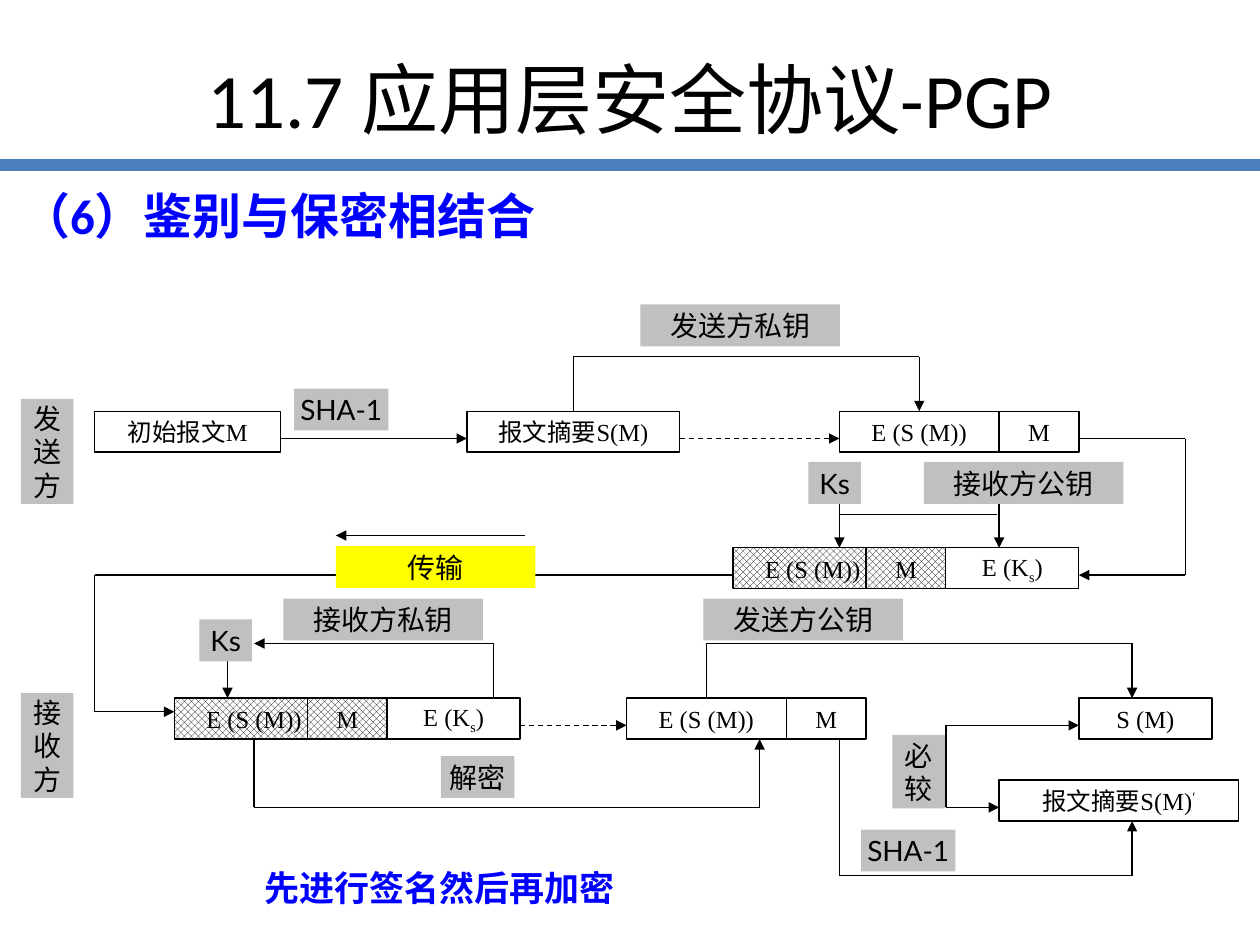
from typing import NamedTuple

from lxml.etree import SubElement
from pptx import Presentation
from pptx.dml.color import RGBColor
from pptx.enum.dml import MSO_LINE, MSO_PATTERN
from pptx.enum.shapes import MSO_CONNECTOR, MSO_SHAPE
from pptx.enum.text import MSO_ANCHOR as Anchor, PP_ALIGN as Align
from pptx.oxml.ns import qn
from pptx.util import Inches, Pt

BLACK, WHITE, GRAY, YELLOW = "000000", "FFFFFF", "C0C0C0", "FFFF00"
BLUE, RULE_BLUE = "0000FF", "4B7EBC"


class Grid(NamedTuple):
    left: float
    top: float
    col: float
    row: float

    def x(self, column: float) -> int:
        return Inches(self.left + column * self.col)

    def y(self, row: float) -> int:
        return Inches(self.top + row * self.row)

    def area(self, col: float, row: float, cols: float, rows: float) -> tuple:
        return self.x(col), self.y(row), Inches(cols * self.col), Inches(rows * self.row)


FLOW = Grid(0.75, 2.83, 9.08 / 43, 4.12 / 38)  # message boxes and their routes
TAGS = Grid(0, 0, 1 / 12, 1 / 12)  # key and operation labels


class Box(NamedTuple):
    col: int
    row: int
    cols: int
    runs: tuple  # (text, baseline shift in percent)
    encrypted: bool = False


class Tag(NamedTuple):
    col: int
    row: int
    cols: int
    text: str
    rows: int = 4
    fill: str = GRAY


class Route(NamedTuple):
    points: tuple
    arrow: bool = True
    dashed: bool = False
    grid: Grid = FLOW


SIGNED = (("E (S (M))", 0),)
MESSAGE = (("M", 0),)
SESSION_KEY = (("E (K", 0), ("s", -25), (")", 0))


def sealed_packet(col: int, row: int) -> list[Box]:
    return [Box(col, row, 6, SIGNED, True), Box(col + 5, row, 3, MESSAGE, True),
            Box(col + 8, row, 5, SESSION_KEY)]


def signed_packet(col: int, row: int) -> list[Box]:
    return [Box(col, row, 6, SIGNED), Box(col + 6, row, 3, MESSAGE)]


BOXES = [
    Box(0, 4, 7, (("初始报文M", 0),)),
    Box(14, 4, 8, (("报文摘要S(M)", 0),)),
    *signed_packet(28, 4),
    *sealed_packet(24, 14),
    *sealed_packet(3, 25),
    *signed_packet(20, 25),
    Box(37, 25, 5, (("S (M)", 0),)),
    Box(34, 31, 9, (("报文摘要S(M)", 0), ("′", 30))),
]

ROUTES = [
    Route(((7, 6), (14, 6))),
    Route(((18, 4), (18, 0), (31, 0), (31, 4))),
    Route(((22, 6), (28, 6)), dashed=True),
    Route(((37, 6), (41, 6), (41, 16), (37, 16))),
    Route(((34, 10), (34, 14))),
    Route(((28, 10), (28, 14))),
    Route(((24, 16), (0, 16), (0, 26), (3, 26))),
    Route(((15, 25), (15, 21), (6, 21))),
    Route(((5, 22), (5, 25))),
    Route(((6, 28), (6, 33), (25, 33), (25, 28))),
    Route(((16, 27), (20, 27)), dashed=True),
    Route(((23, 25), (23, 21), (39, 21), (39, 25))),
    Route(((28, 28), (28, 38), (39, 38), (39, 34))),
    Route(((32, 33), (32, 27), (37, 27))),
    Route(((32, 33), (34, 33))),
    Route(((50, 51), (32, 51)), grid=TAGS),
    Route(((80, 49), (95, 49)), arrow=False, grid=TAGS),
]

TAG_LIST = [
    Tag(61, 29, 19, "发送方私钥"),
    Tag(28, 37, 9, "SHA-1"),
    Tag(2, 38, 5, "发\n送\n方", 10),
    Tag(77, 44, 5, "Ks"),
    Tag(88, 44, 19, "接收方公钥"),
    Tag(32, 52, 19, "传输", fill=YELLOW),
    Tag(27, 57, 19, "接收方私钥"),
    Tag(67, 57, 19, "发送方公钥"),
    Tag(19, 59, 5, "Ks"),
    Tag(2, 66, 5, "接\n收\n方", 10),
    Tag(85, 70, 5, "必\n较", 7),
    Tag(42, 72, 7, "解密"),
    Tag(82, 79, 9, "SHA-1"),
]


def rgb(hex_colour: str) -> RGBColor:
    return RGBColor.from_string(hex_colour)


def style(paragraph, font: str, size: float, colour: str = BLACK,
          bold: bool = False, align: Align = Align.CENTER) -> None:
    paragraph.alignment = align
    paragraph.font.name = font
    paragraph.font.size = Pt(size)
    paragraph.font.bold = bold
    paragraph.font.color.rgb = rgb(colour)


def draw_line(slide, start: tuple, end: tuple, colour: str = BLACK, width: float = 0.75,
              arrow: bool = False, dashed: bool = False) -> None:
    connector = slide.shapes.add_connector(MSO_CONNECTOR.STRAIGHT, *start, *end)
    connector.line.color.rgb = rgb(colour)
    connector.line.width = Pt(width)
    if dashed:
        connector.line.dash_style = MSO_LINE.DASH
    if arrow:
        SubElement(connector.line._get_or_add_ln(), qn("a:tailEnd"), type="triangle")
    SubElement(connector._element.spPr, qn("a:effectLst"))


def draw_route(slide, route: Route) -> None:
    """Joins the points in turn; only the last leg carries the arrowhead."""
    points = [(route.grid.x(col), route.grid.y(row)) for col, row in route.points]
    for start, end in zip(points, points[1:]):
        draw_line(slide, start, end, arrow=route.arrow and end == points[-1],
                  dashed=route.dashed)


def add_rectangle(slide, area: tuple):
    rectangle = slide.shapes.add_shape(MSO_SHAPE.RECTANGLE, *area)
    rectangle.shadow.inherit = False
    frame = rectangle.text_frame
    frame.vertical_anchor = Anchor.MIDDLE
    frame.margin_top = frame.margin_bottom = 0
    return rectangle


def draw_box(slide, box: Box) -> None:
    rectangle = add_rectangle(slide, FLOW.area(box.col, box.row, box.cols, 3))
    if box.encrypted:
        rectangle.fill.patterned()
        rectangle.fill.pattern = MSO_PATTERN.OUTLINED_DIAMOND
        rectangle.fill.fore_color.rgb = rgb(BLACK)
        rectangle.fill.back_color.rgb = rgb(WHITE)
    else:
        rectangle.fill.solid()
        rectangle.fill.fore_color.rgb = rgb(WHITE)
    rectangle.line.color.rgb = rgb(BLACK)
    rectangle.line.width = Pt(0.75)
    paragraph = rectangle.text_frame.paragraphs[0]
    for text, shift in box.runs:
        run = paragraph.add_run()
        run.text = text
        if shift:
            run.font._element.set("baseline", str(shift * 1000))
    style(paragraph, "Times New Roman", 14)


def draw_tag(slide, tag: Tag) -> None:
    rectangle = add_rectangle(slide, TAGS.area(tag.col, tag.row, tag.cols, tag.rows))
    rectangle.fill.solid()
    rectangle.fill.fore_color.rgb = rgb(tag.fill)
    rectangle.line.fill.background()
    rectangle.text_frame.word_wrap = False
    rectangle.text_frame.text = tag.text
    for paragraph in rectangle.text_frame.paragraphs:
        style(paragraph, "Lato", 16)


def draw_text(slide, area: tuple, text: str, anchor: Anchor = Anchor.TOP, **look):
    frame = slide.shapes.add_textbox(*map(Inches, area)).text_frame
    frame.word_wrap = True
    frame.vertical_anchor = anchor
    frame.text = text
    style(frame.paragraphs[0], **look)
    return frame.paragraphs[0]


def main() -> None:
    deck = Presentation()
    deck.slide_width, deck.slide_height = Inches(10), Inches(7.5)
    slide = deck.slides.add_slide(deck.slide_layouts[6])

    rule_y = Inches(1.31)
    draw_line(slide, (0, rule_y), (deck.slide_width, rule_y), RULE_BLUE, 7)
    draw_text(slide, (0.5, 0.3, 9, 0.95), "11.7 应用层安全协议-PGP", Anchor.MIDDLE,
              font="Calibri", size=44)
    heading = draw_text(slide, (0.07, 1.48, 8.5, 0.5), "（6）鉴别与保密相结合",
                        font="Calibri", size=28, colour=BLUE, bold=True, align=Align.LEFT)
    heading.line_spacing = 0.9

    for box in BOXES:
        draw_box(slide, box)
    for route in ROUTES:
        draw_route(slide, route)
    for tag in TAG_LIST:
        draw_tag(slide, tag)
    draw_text(slide, (2, 6.83, 3.08, 0.43), "先进行签名然后再加密",
              font="Noto Sans CJK SC", size=20, colour=BLUE, bold=True, align=Align.LEFT)
    deck.save("out.pptx")


if __name__ == "__main__":
    main()
